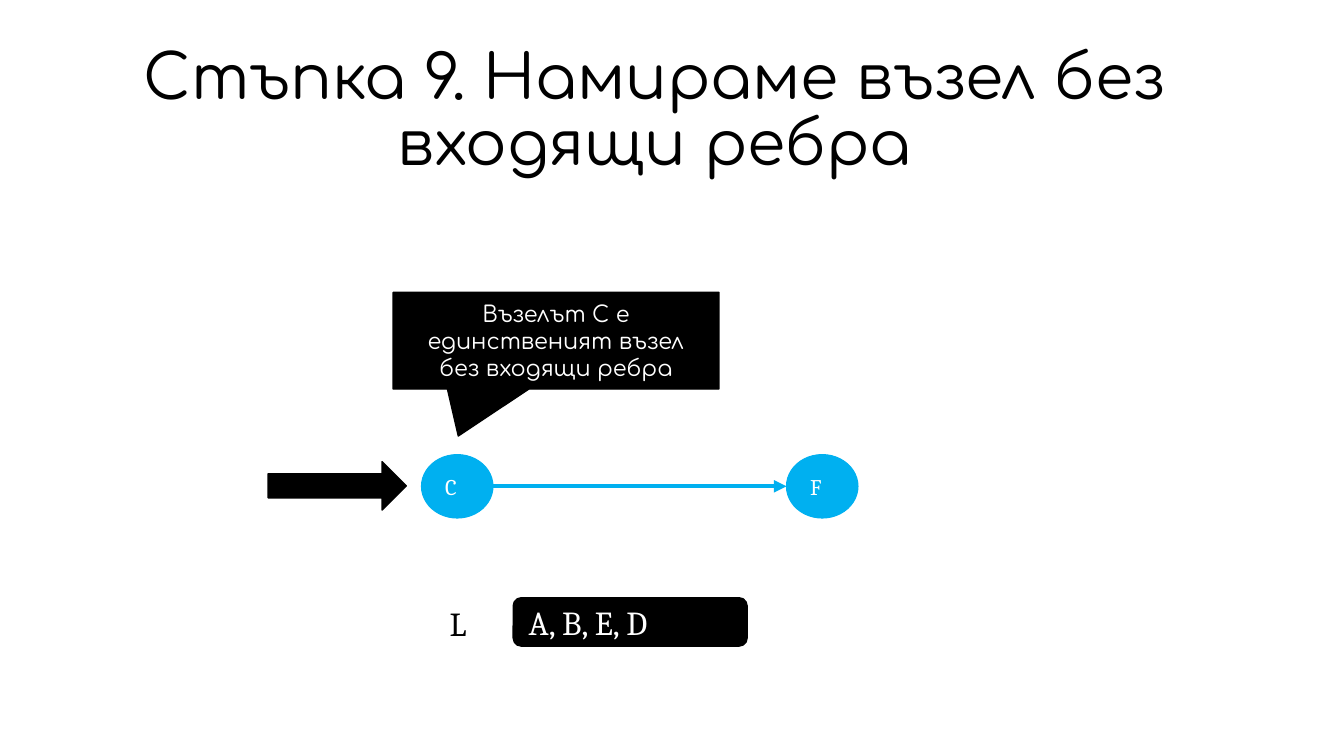
from dataclasses import dataclass

from lxml import etree
from pptx import Presentation
from pptx.dml.color import RGBColor
from pptx.enum.shapes import MSO_CONNECTOR, MSO_SHAPE
from pptx.enum.text import MSO_ANCHOR, MSO_AUTO_SIZE, PP_ALIGN
from pptx.oxml.ns import qn
from pptx.util import Inches, Pt


@dataclass(frozen=True)
class Theme:
    black: RGBColor = RGBColor(0x00, 0x00, 0x00)
    white: RGBColor = RGBColor(0xFF, 0xFF, 0xFF)
    blue: RGBColor = RGBColor(0x00, 0xB0, 0xF0)
    serif: str = "Cambria"
    rounded: str = "Comfortaa"
    title_size: int = 44
    list_size: int = 24
    label_size: int = 16


THEME = Theme()
NODE_WIDTH, NODE_HEIGHT, NODE_TOP = 0.71, 0.63, 4.51


def write(shape, text, font, size, color, align=PP_ALIGN.LEFT,
          anchor=MSO_ANCHOR.MIDDLE, inset=(0.13, 0.13)):
    """Fill a shape's text frame with one formatted run."""
    frame = shape.text_frame
    frame.word_wrap = True
    frame.auto_size = MSO_AUTO_SIZE.NONE
    frame.vertical_anchor = anchor
    frame.margin_left = frame.margin_right = Inches(inset[0])
    frame.margin_top = frame.margin_bottom = Inches(inset[1])
    para = frame.paragraphs[0]
    para.alignment = align
    span = para.add_run()
    span.text = text
    span.font.name = font
    span.font.size = Pt(size)
    span.font.color.rgb = color
    return para


def add_block(page, kind, place, color, line_width=1, adjustments=()):
    """Add a preset shape with matching fill and outline."""
    block = page.shapes.add_shape(kind, *map(Inches, place))
    block.shadow.inherit = False
    block.fill.solid()
    block.fill.fore_color.rgb = color
    block.line.color.rgb = color
    block.line.width = Pt(line_width)
    for index, value in enumerate(adjustments):
        block.adjustments[index] = value
    return block


def add_node(page, name, left):
    place = (left, NODE_TOP, NODE_WIDTH, NODE_HEIGHT)
    node = add_block(page, MSO_SHAPE.OVAL, place, THEME.blue, 0.75)
    write(node, name, THEME.serif, THEME.label_size, THEME.white)
    return node


def add_edge(page, start, end):
    """Join two nodes with an arrow from right side to left side."""
    middle = start.top + start.height // 2
    edge = page.shapes.add_connector(MSO_CONNECTOR.STRAIGHT,
                                     start.left + start.width, middle,
                                     end.left, middle)
    edge.line.color.rgb = THEME.blue
    edge.line.width = Pt(3)
    arrowhead = etree.SubElement(edge.get_or_add_ln(), qn("a:tailEnd"))
    arrowhead.set("type", "triangle")
    etree.SubElement(edge._element.spPr, qn("a:effectLst"))


def set_title(page, text):
    title = page.shapes.title
    title.left, title.top = Inches(0.24), Inches(0.51)
    title.width, title.height = Inches(12.51), Inches(1.21)
    para = write(title, text, THEME.rounded, THEME.title_size, THEME.black,
                 PP_ALIGN.CENTER, inset=(0.12, 0.04))
    para.line_spacing = 0.9


def add_result_list(page, name, items):
    """Add the list label and the box with the sorted nodes."""
    label = page.shapes.add_textbox(*map(Inches, (4.33, 5.85, 0.41, 0.63)))
    write(label, name, THEME.serif, THEME.list_size, THEME.black,
          anchor=MSO_ANCHOR.TOP)
    box = add_block(page, MSO_SHAPE.ROUNDED_RECTANGLE, (5.09, 5.93, 2.32, 0.48),
                    THEME.black, adjustments=(0.167,))
    write(box, ", ".join(items), THEME.serif, THEME.list_size, THEME.white)


def add_callout(page, text):
    callout = add_block(page, MSO_SHAPE.RECTANGULAR_CALLOUT,
                        (3.9, 2.9, 3.23, 0.96), THEME.black,
                        adjustments=(-0.3, 0.986))
    write(callout, text, THEME.rounded, THEME.label_size, THEME.white,
          PP_ALIGN.CENTER)


def main():
    deck = Presentation()
    deck.slide_width, deck.slide_height = Inches(13.33), Inches(7.5)
    page = deck.slides.add_slide(deck.slide_layouts[5])

    set_title(page, "Стъпка 9. Намираме възел без входящи ребра")

    # Remaining graph
    node_c = add_node(page, "C", 4.18)
    node_f = add_node(page, "F", 7.8)
    add_edge(page, node_c, node_f)

    # Sorted nodes so far
    add_result_list(page, "L", "ABED")

    # Pointers to the chosen node
    add_callout(page, "Възелът C е единственият възел без входящи ребра")
    add_block(page, MSO_SHAPE.RIGHT_ARROW, (2.66, 4.58, 1.37, 0.48), THEME.black)

    deck.save("out.pptx")


if __name__ == "__main__":
    main()
